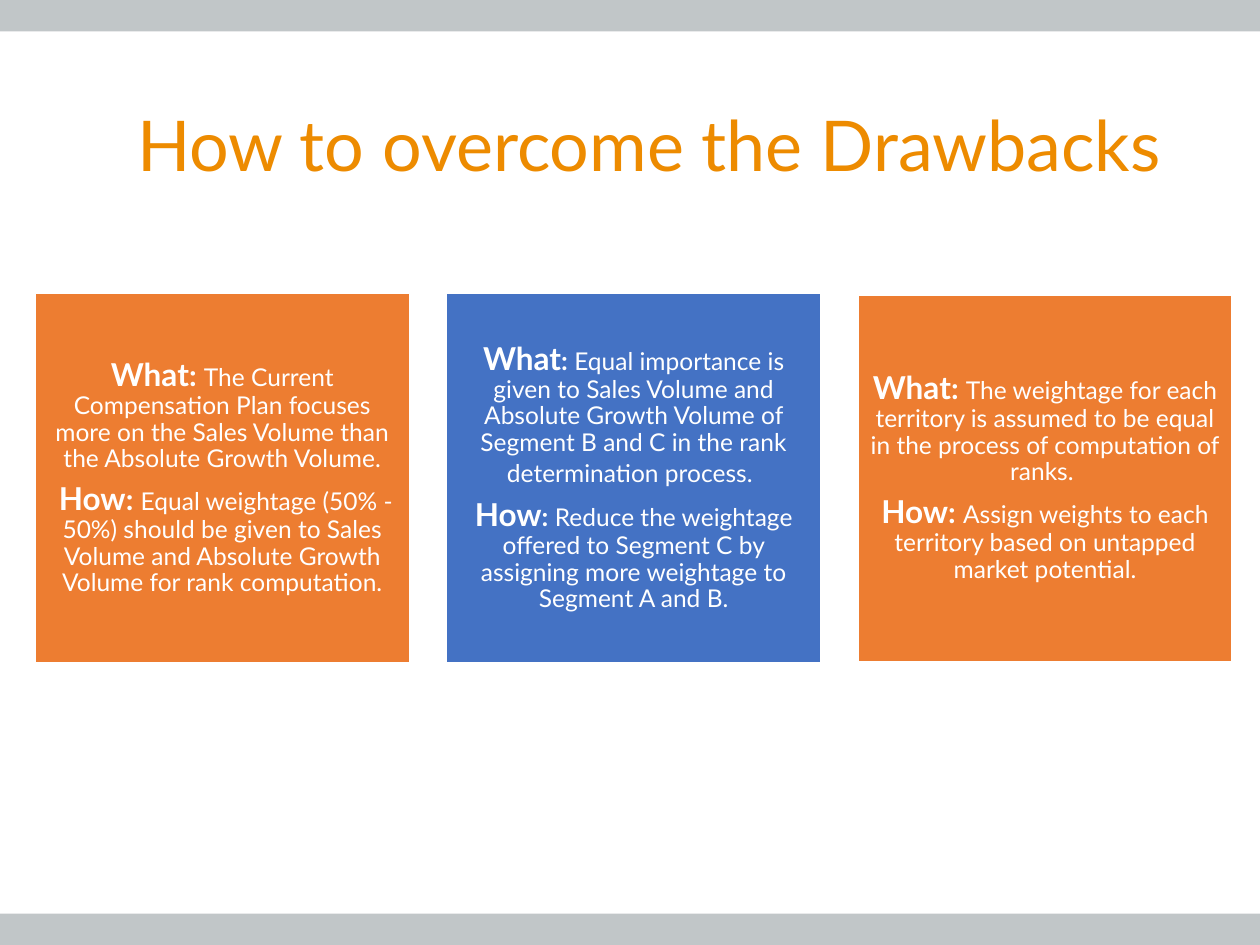
import pptx
import pptx.util
import pptx.dml.color
import pptx.enum.shapes
import pptx.enum.text

COLORS = {"bar": "C1C6C8", "title": "ED8B00", "orange": "ED7D31",
          "blue": "4472C4", "white": "FFFFFF"}
WIDTH, HEIGHT = 10, 7.5
BAR_HEIGHT = 0.25
CARD_LEFT, CARD_STEP, CARD_WIDTH = 0.28, 3.265, 2.97
CARD_MIDDLE = 3.795


def rgb(name):
    """Return the named colour."""
    return pptx.dml.color.RGBColor.from_string(COLORS[name])


class SlideBuilder:
    """Holds the style and the current slide."""

    font = "Lato"

    def __init__(self, presentation):
        """Add a blank slide to the presentation."""
        self.slide = presentation.slides.add_slide(presentation.slide_layouts[6])

    def box(self, left, top, width, height, fill, line=None):
        """Draw a filled rectangle, outlined if a line colour is given."""
        rectangle = self.slide.shapes.add_shape(
            pptx.enum.shapes.MSO_SHAPE.RECTANGLE,
            *map(pptx.util.Inches, (left, top, width, height)))
        rectangle.shadow.inherit = False
        rectangle.fill.solid()
        rectangle.fill.fore_color.rgb = rgb(fill)
        if line:
            rectangle.line.color.rgb = rgb(line)
            rectangle.line.width = pptx.util.Pt(1)
        else:
            rectangle.line.fill.background()
        return rectangle

    def style(self, paragraph, color):
        """Set the font and colour of a paragraph."""
        paragraph.font.name = self.font
        paragraph.font.color.rgb = rgb(color)

    def title(self, text, left, top, width, height):
        """Write the slide title."""
        heading = self.slide.shapes.add_textbox(
            *map(pptx.util.Inches, (left, top, width, height)))
        frame = heading.text_frame
        frame.word_wrap = False
        frame.auto_size = pptx.enum.text.MSO_AUTO_SIZE.SHAPE_TO_FIT_TEXT
        paragraph = frame.paragraphs[0]
        paragraph.text = text
        paragraph.font.size = pptx.util.Pt(40)
        self.style(paragraph, "title")

    def card(self, column, height, fill, points):
        """Draw a card whose paragraphs are lists of (text, size, bold)."""
        card = self.box(CARD_LEFT + column * CARD_STEP, CARD_MIDDLE - height / 2,
                        CARD_WIDTH, height, fill, "white")
        frame = card.text_frame
        frame.word_wrap = True
        frame.vertical_anchor = pptx.enum.text.MSO_ANCHOR.MIDDLE
        frame.margin_left = frame.margin_right = pptx.util.Inches(0.07)
        frame.margin_top = frame.margin_bottom = pptx.util.Inches(0.07)
        for index, pieces in enumerate(points):
            paragraph = frame.add_paragraph() if index else frame.paragraphs[0]
            paragraph.alignment = pptx.enum.text.PP_ALIGN.CENTER
            paragraph.line_spacing = 0.9
            paragraph.space_after = pptx.util.Pt(6)
            self.style(paragraph, "white")
            for text, size, bold in pieces:
                run = paragraph.add_run()
                run.text = text
                run.font.size = pptx.util.Pt(size)
                run.font.bold = bold


def point(label, text, colon_size):
    """Return the pieces of a paragraph with a bold label."""
    return [(label, 18, True), (": ", colon_size, True), (text, 14, False)]


def main():
    """Build and save the slide."""
    presentation = pptx.Presentation()
    presentation.slide_width = pptx.util.Inches(WIDTH)
    presentation.slide_height = pptx.util.Inches(HEIGHT)
    builder = SlideBuilder(presentation)

    for top in (0, HEIGHT - BAR_HEIGHT):
        builder.box(0, top, WIDTH, BAR_HEIGHT, "bar")
    builder.title("How to overcome the Drawbacks", 0.99, 0.76, 8.37, 0.77)

    gap = (" ", 17, True)
    tail = (" ", 17, False)
    cards = [
        (2.93, "orange", [
            point("What", "The Current Compensation Plan focuses more on the "
                  "Sales Volume than the Absolute Growth Volume.", 17),
            [gap] + point("How", "Equal weightage (50% - 50%) should be given to "
                          "Sales Volume and Absolute Growth Volume for rank "
                          "computation.", 17)]),
        (2.93, "blue", [
            point("What", "Equal importance is given to Sales Volume and Absolute "
                  "Growth Volume of Segment B and C in the rank determination "
                  "process.", 15) + [tail],
            point("How", "Reduce the weightage offered to Segment C by assigning "
                  "more weightage to Segment A and B.", 15)]),
        (2.91, "orange", [
            point("What", "The weightage for each territory is assumed to be equal "
                  "in the process of computation of ranks. ", 17),
            point("How", "Assign weights to each territory based on untapped "
                  "market potential.", 17)]),
    ]
    for column, (height, fill, points) in enumerate(cards):
        builder.card(column, height, fill, points)

    presentation.save("out.pptx")


main()
